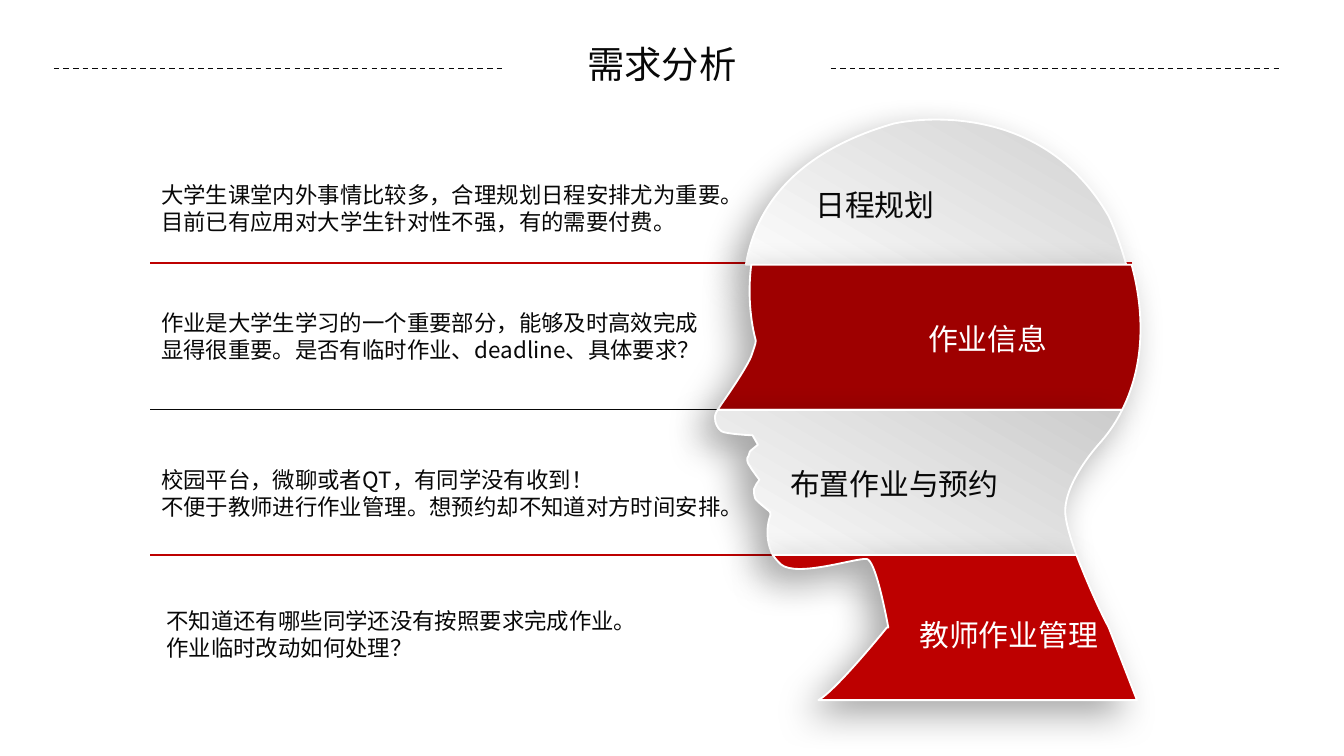
from typing import NamedTuple, Optional

from lxml import etree
from pptx import Presentation
from pptx import util as u
from pptx.dml.color import RGBColor
from pptx.enum import dml, shapes, text
from pptx.oxml.ns import qn

FONT = "Noto Sans CJK SC"
INK = RGBColor(0x08, 0x08, 0x08)
WHITE = RGBColor(0xFF, 0xFF, 0xFF)
RED = RGBColor(0xBD, 0x00, 0x00)
DARK_RED = RGBColor(0x9E, 0x00, 0x00)
SILVER = (RGBColor(0xCC, 0xCC, 0xCC), RGBColor(0xFC, 0xFC, 0xFC))

LINE_HEIGHT = 1.2  # line pitch as a multiple of the font size
BODY_LEFT = 1.12
BAND_HEIGHT = 1.08
# Edges below the head bands, from top to bottom
EDGES = [1.97 + BAND_HEIGHT * i for i in range(4)]


class Label(NamedTuple):
    lines: list[str]
    box: tuple[float, float, float, float]
    size: int = 12
    color: RGBColor = INK
    centred: bool = False
    wrap: bool = True


class Rule(NamedTuple):
    x1: float
    x2: float
    y: float
    color: RGBColor = INK
    width: float = 0.75
    dashed: bool = False


class Band(NamedTuple):
    box: tuple[float, float, float, float]
    start: tuple[float, float]
    # Two numbers: straight line to a point; six: Bézier curve
    steps: list[tuple[float, ...]]
    color: Optional[RGBColor] = None  # None: silver gradient


def inch(value: float) -> u.Length:
    return u.Cm(value * 2.54)


def add_label(s, label: Label) -> None:
    sp = s.shapes.add_textbox(*map(inch, label.box))
    tf = sp.text_frame
    tf.word_wrap = label.wrap
    tf.auto_size = text.MSO_AUTO_SIZE.SHAPE_TO_FIT_TEXT
    for i, line in enumerate(label.lines):
        p = tf.paragraphs[0] if i == 0 else tf.add_paragraph()
        p.add_run().text = line
        p.line_spacing = u.Pt(label.size * LINE_HEIGHT)
        if label.centred:
            p.alignment = text.PP_ALIGN.CENTER
        p.font.size = u.Pt(label.size)
        p.font.color.rgb = label.color
        p.font.name = FONT
        # East Asian typeface
        props = p._p.pPr.find(qn("a:defRPr"))
        etree.SubElement(props, qn("a:ea"), typeface=FONT)


def add_rule(s, rule: Rule) -> None:
    y = inch(rule.y)
    line = s.shapes.add_connector(
        shapes.MSO_CONNECTOR.STRAIGHT, inch(rule.x1), y, inch(rule.x2), y)
    line.line.color.rgb = rule.color
    line.line.width = u.Pt(rule.width)
    if rule.dashed:
        line.line.dash_style = dml.MSO_LINE.DASH
    etree.SubElement(line._element.spPr, qn("a:effectLst"))


def curve_outline(sp, band: Band) -> None:
    """Fit the shape to the band's box and give it true curves."""
    left, top, width, height = band.box
    sp.left, sp.top, sp.width, sp.height = map(inch, band.box)
    geometry = next(sp._element.iter(qn("a:path")))
    geometry.clear()
    geometry.set("w", str(inch(width)))
    geometry.set("h", str(inch(height)))
    for i, step in enumerate([band.start, *band.steps]):
        tag = "a:moveTo" if i == 0 else "a:lnTo" if len(step) == 2 else "a:cubicBezTo"
        segment = etree.SubElement(geometry, qn(tag))
        for x, y in zip(step[::2], step[1::2]):
            etree.SubElement(segment, qn("a:pt"),
                             x=str(inch(x - left)), y=str(inch(y - top)))
    etree.SubElement(geometry, qn("a:close"))


def add_band(s, band: Band) -> None:
    builder = s.shapes.build_freeform(*map(inch, band.start))
    builder.add_line_segments([tuple(map(inch, step[-2:])) for step in band.steps])
    sp = builder.convert_to_shape()
    curve_outline(sp, band)
    if band.color is None:
        sp.fill.gradient()
        sp.fill.gradient_angle = 240
        for stop, color in zip(sp.fill.gradient_stops, SILVER):
            stop.color.rgb = color
    else:
        sp.fill.solid()
        sp.fill.fore_color.rgb = band.color
    sp.line.color.rgb = WHITE
    sp.line.width = u.Pt(1)
    # Soft shadow towards the lower left
    sp.shadow.inherit = False
    effects = sp._element.spPr.find(qn("a:effectLst"))
    shadow = etree.SubElement(
        effects, qn("a:outerShdw"), blurRad=str(u.Pt(20)), dist=str(u.Pt(10)),
        dir=str(136 * 60000), algn="tr", rotWithShape="0")
    tint = etree.SubElement(shadow, qn("a:srgbClr"), val="000000")
    etree.SubElement(tint, qn("a:alpha"), val="34000")


RULES = [
    Rule(0.4, 3.74, 0.51, dashed=True),
    Rule(6.18, 9.52, 0.51, dashed=True),
    Rule(BODY_LEFT, 8.42, EDGES[0] - 0.01, RED, 1),
    Rule(BODY_LEFT, 8.35, EDGES[1], INK, 0.5),
    Rule(BODY_LEFT, 8.01, EDGES[2], RED, 1),
    Rule(BODY_LEFT, 8.46, EDGES[3], WHITE, 1),
]

BANDS = [
    # Crown
    Band((5.55, 0.67, 2.83, 1.3), (8.25, 1.61), [
        (7.71, 0.67, 6.65, 0.92, 6.65, 0.92),
        (5.85, 1.15, 5.61, 1.61, 5.55, EDGES[0]), (8.38, EDGES[0]),
        (8.32, 1.75, 8.25, 1.61, 8.25, 1.61)]),
    # Brow and nose
    Band((5.34, EDGES[0], 3.2, BAND_HEIGHT), (5.62, 2.52), [
        (5.63, 2.54, 5.62, 2.56, 5.59, 2.65),
        (5.55, 2.75, 5.38, 2.99, 5.36, 3.02),
        (5.35, 3.03, 5.35, 3.04, 5.34, EDGES[1]), (8.35, EDGES[1]),
        (8.54, 2.67, 8.5, 2.26, 8.42, EDGES[0]), (5.59, EDGES[0]),
        (5.55, 2.28, 5.62, 2.52, 5.62, 2.52)], DARK_RED),
    # Mouth and chin
    Band((5.32, EDGES[1], 3.03, BAND_HEIGHT), (5.32, 3.11), [
        (5.32, 3.15, 5.34, 3.19, 5.37, 3.21),
        (5.4, 3.23, 5.6, 3.24, 5.6, 3.24), (5.64, 3.31),
        (5.64, 3.31, 5.6, 3.34, 5.58, 3.36),
        (5.57, 3.39, 5.57, 3.4, 5.56, 3.41),
        (5.56, 3.44, 5.57, 3.46, 5.58, 3.47),
        (5.59, 3.49, 5.65, 3.57, 5.65, 3.57),
        (5.65, 3.57, 5.64, 3.59, 5.63, 3.6),
        (5.62, 3.62, 5.61, 3.64, 5.61, 3.64),
        (5.61, 3.66, 5.61, 3.68, 5.62, 3.71),
        (5.63, 3.73, 5.72, 3.8, 5.73, 3.81),
        (5.74, 3.83, 5.73, 3.84, 5.73, 3.84),
        (5.69, 3.97, 5.72, 4.07, 5.75, EDGES[2]), (8.01, EDGES[2]),
        (7.97, 4.02, 7.94, 3.92, 7.93, 3.85),
        (7.89, 3.61, 8.19, 3.29, 8.19, 3.29),
        (8.26, 3.21, 8.31, 3.13, 8.35, EDGES[1]), (5.34, EDGES[1]),
        (5.33, 3.07, 5.32, 3.08, 5.32, 3.11)]),
    # Neck
    Band((5.75, EDGES[2], 2.7, BAND_HEIGHT), (5.81, 4.2), [
        (5.93, 4.3, 6.37, 4.15, 6.45, 4.16),
        (6.51, 4.17, 6.58, 4.51, 6.61, 4.67), (6.6, 4.67),
        (6.6, 4.67, 6.22, 5.14, 6.09, EDGES[3]), (8.29, EDGES[3]),
        (8.46, EDGES[3]), (8.25, 4.67),
        (8.17, 4.52, 8.08, 4.31, 8.01, EDGES[2]), (5.75, EDGES[2]),
        (5.77, 4.16, 5.8, 4.19, 5.81, 4.2)], RED),
]

LABELS = [
    Label(["需求分析"], (4.06, 0.26, 1.73, 0.44), 20, centred=True),
    # Explanations
    Label(["大学生课堂内外事情比较多，合理规划日程安排尤为重要。",
           "目前已有应用对大学生针对性不强，有的需要付费。"], (1.1, 1.3, 4.52, 0.5)),
    Label(["作业是大学生学习的一个重要部分，能够及时高效完成"
           "显得很重要。是否有临时作业、deadline、具体要求？"], (1.1, 2.25, 4.24, 0.5)),
    Label(["校园平台，微聊或者QT，有同学没有收到！",
           "不便于教师进行作业管理。想预约却不知道对方时间安排。"], (1.1, 3.42, 4.46, 0.5)),
    Label(["不知道还有哪些同学还没有按照要求完成作业。",
           "作业临时改动如何处理？"], (1.14, 4.47, 5.27, 0.5)),
    # Topics on the head
    Label(["日程规划"], (5.96, 1.34, 1.1, 0.37), 16, INK, True, False),
    Label(["作业信息"], (6.8, 2.34, 1.1, 0.37), 16, WHITE, True, False),
    Label(["布置作业与预约"], (5.77, 3.42, 1.77, 0.37), 16, INK, True, False),
    Label(["教师作业管理"], (6.73, 4.54, 1.55, 0.37), 16, WHITE, True, False),
]


def main() -> None:
    prs = Presentation()
    prs.slide_width, prs.slide_height = u.Cm(25.4), u.Cm(14.29)
    s = prs.slides.add_slide(prs.slide_layouts[6])
    for rule in RULES:
        add_rule(s, rule)
    for band in BANDS:
        add_band(s, band)
    for label in LABELS:
        add_label(s, label)
    prs.save("out.pptx")


if __name__ == "__main__":
    main()
